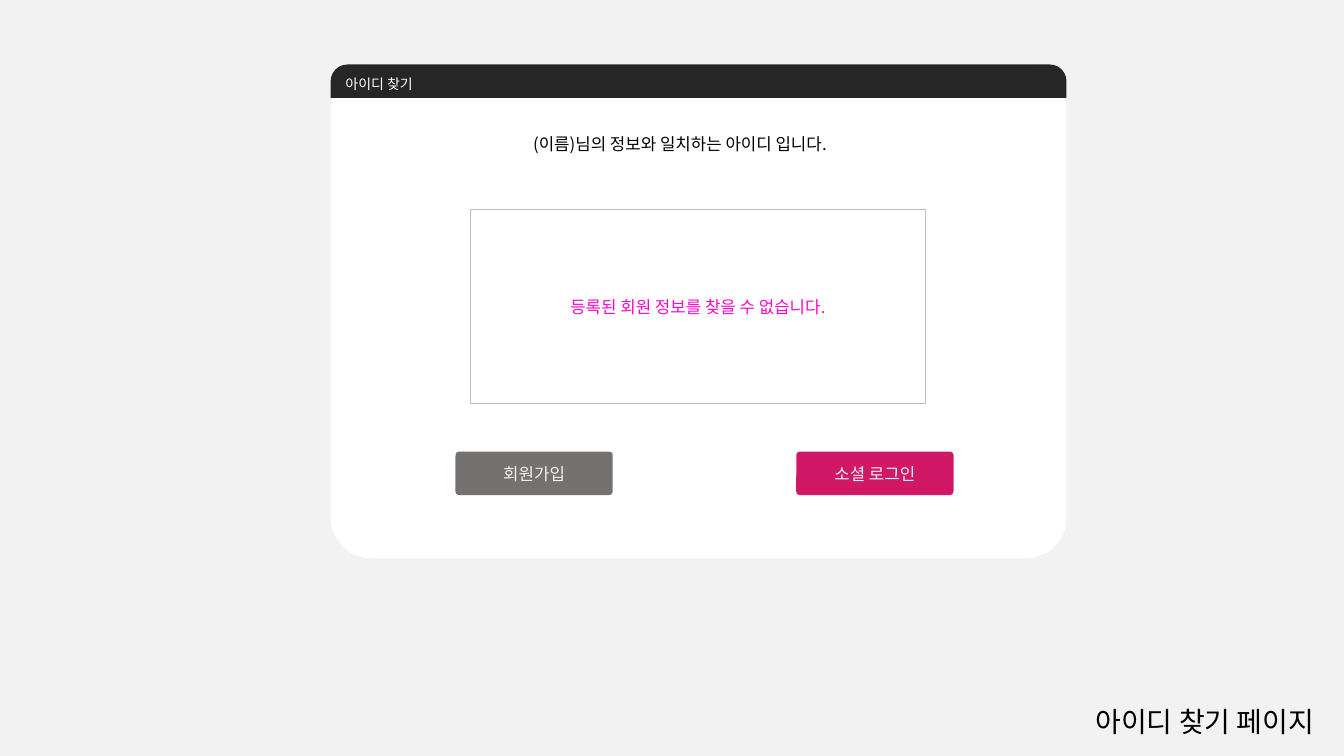
from lxml import etree
from pptx import Presentation
from pptx.dml.color import RGBColor
from pptx.enum import shapes, text
from pptx.oxml.ns import qn
from pptx.util import Pt

FONT = "Noto Sans CJK KR"
BLACK = RGBColor(0x00, 0x00, 0x00)
WHITE = RGBColor(0xFF, 0xFF, 0xFF)
PAGE = RGBColor(0xF2, 0xF2, 0xF2)
BAR = RGBColor(0x26, 0x26, 0x26)
BORDER = RGBColor(0xBF, 0xBF, 0xBF)
GRAY = RGBColor(0x76, 0x71, 0x71)
CRIMSON = RGBColor(0xD0, 0x18, 0x67)
MAGENTA = RGBColor(0xFE, 0x06, 0xC9)

PAGE_TITLE = "아이디 찾기 페이지"
WINDOW_TITLE = "아이디 찾기"
PROMPT = "(이름)님의 정보와 일치하는 아이디 입니다."
MESSAGE = "등록된 회원 정보를 찾을 수 없습니다."
BUTTONS = [("회원가입", GRAY), ("소셜 로그인", CRIMSON)]

# left, top, width, height in points
TITLE_BOX = (754.5, 499.7, 212.4, 31.7)
WINDOW = (236.2, 46.1, 525.6, 352.8)
BAR_HEIGHT = 23.8
PROMPT_BOX = (373.7, 94.3, 251.3, 16.6)
MESSAGE_BOX = (336.2, 149.8, 324.7, 138.2)
FIRST_BUTTON = (325.4, 322.6, 112.3, 31)
BUTTON_STEP = 243.4
CORNER = 0.083

LEFT, CENTER = text.PP_ALIGN.LEFT, text.PP_ALIGN.CENTER
KIND = shapes.MSO_SHAPE


def put_text(sp, words, size=12, color=BLACK, align=CENTER, wrap=True):
    tf = sp.text_frame
    tf.word_wrap = wrap
    tf.vertical_anchor = text.MSO_ANCHOR.MIDDLE
    tf.margin_top = tf.margin_bottom = 0
    p = tf.paragraphs[0]
    p.alignment = align
    r = p.add_run()
    r.text = words
    r.font.size, r.font.name = Pt(size), FONT
    r.font.color.rgb = color
    ea = etree.SubElement(r.font._element, qn("a:ea"))
    ea.set("typeface", FONT)


def add_panel(parent, kind, box, fill=None, line=None, adjust=()):
    sp = parent.add_shape(kind, *map(Pt, box))
    sp.shadow.inherit = False
    for i, value in enumerate(adjust):
        sp.adjustments[i] = value
    if fill is None:
        sp.fill.background()
    else:
        sp.fill.solid()
        sp.fill.fore_color.rgb = fill
    if line is None:
        sp.line.fill.background()
    else:
        sp.line.color.rgb = line
        sp.line.width = Pt(0.75)
    return sp


def main():
    prs = Presentation()
    prs.slide_width, prs.slide_height = Pt(960), Pt(540)
    s = prs.slides.add_slide(prs.slide_layouts[5])
    s.background.fill.solid()
    s.background.fill.fore_color.rgb = PAGE

    title = s.shapes.title
    title.left, title.top, title.width, title.height = map(Pt, TITLE_BOX)
    put_text(title, PAGE_TITLE, size=20)

    window = s.shapes.add_group_shape().shapes
    add_panel(window, KIND.ROUNDED_RECTANGLE, WINDOW, WHITE, adjust=[CORNER])
    bar = add_panel(window, KIND.ROUND_2_SAME_RECTANGLE,
                    (*WINDOW[:3], BAR_HEIGHT), BAR, adjust=[0.5, 0])
    put_text(bar, WINDOW_TITLE, size=10, color=WHITE, align=LEFT)
    prompt = window.add_textbox(*map(Pt, PROMPT_BOX))
    put_text(prompt, PROMPT, align=LEFT)

    message = add_panel(s.shapes, KIND.RECTANGLE, MESSAGE_BOX, line=BORDER)
    put_text(message, MESSAGE, color=MAGENTA)

    left, top, width, height = FIRST_BUTTON
    for i, (label, fill) in enumerate(BUTTONS):
        button = add_panel(s.shapes, KIND.ROUNDED_RECTANGLE,
                           (left + i * BUTTON_STEP, top, width, height),
                           fill, adjust=[CORNER])
        put_text(button, label, color=PAGE)

    prs.save("out.pptx")


if __name__ == "__main__":
    main()
